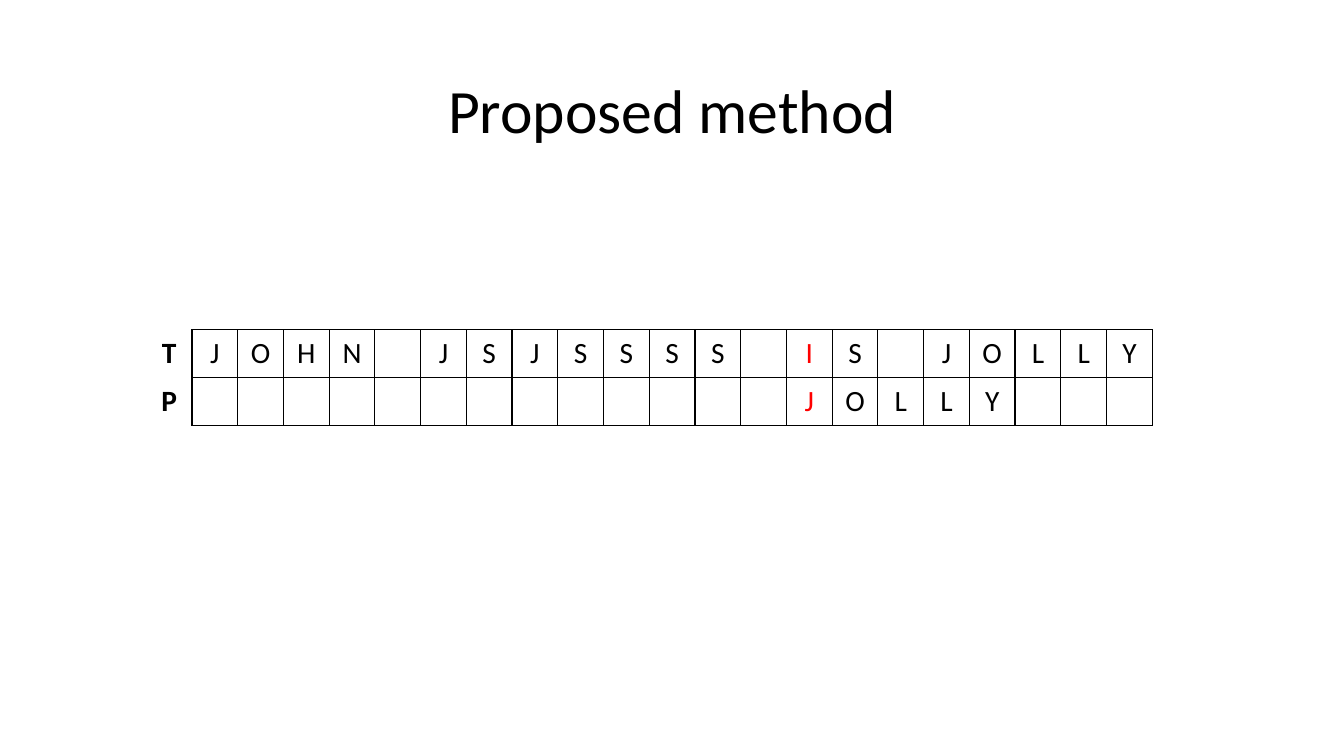
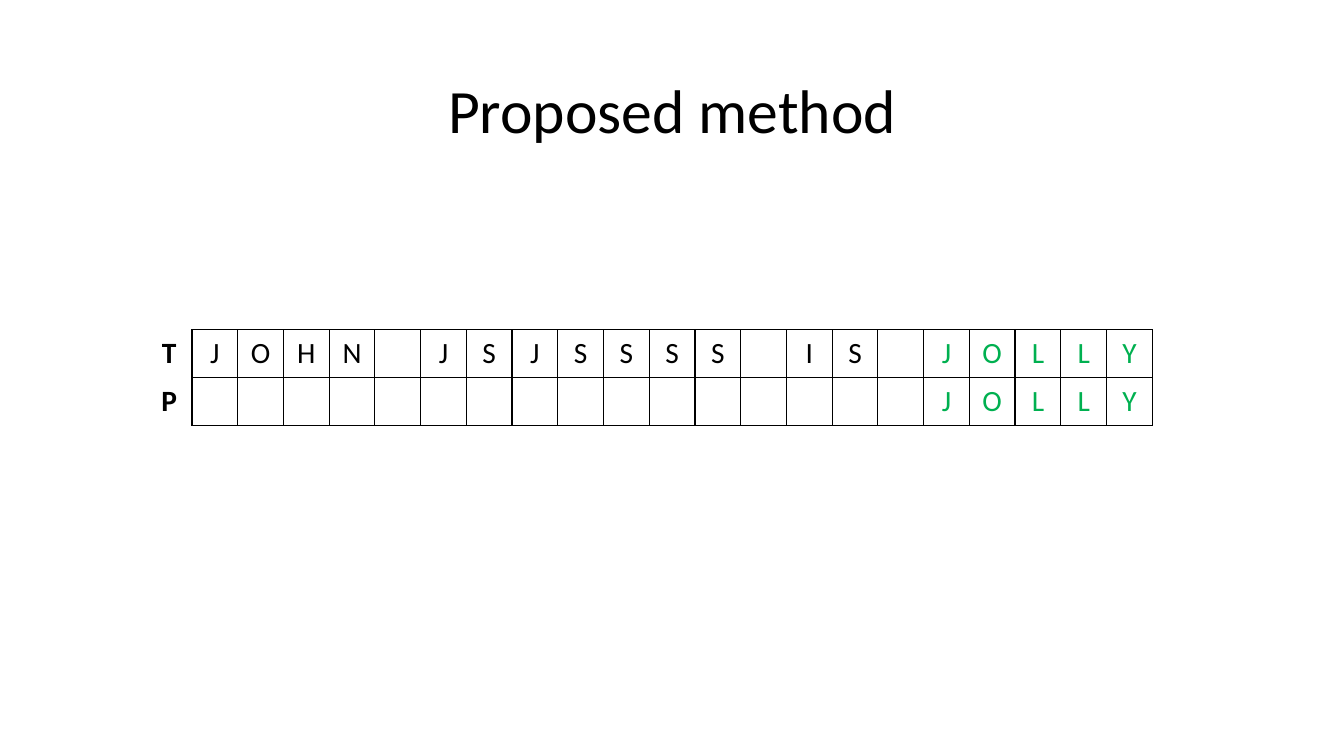
from lxml import etree
from pptx import Presentation
from pptx.dml.color import RGBColor
from pptx.enum.text import MSO_ANCHOR, PP_ALIGN
from pptx.oxml.ns import qn
from pptx.util import Inches, Pt

CENTER = PP_ALIGN.CENTER
MIDDLE = MSO_ANCHOR.MIDDLE

BLACK = RGBColor(0x00, 0x00, 0x00)
MISMATCH_RED = RGBColor(0xFF, 0x00, 0x00)
MATCH_GREEN = RGBColor(0x00, 0xB0, 0x50)

TEXT = "JOHN JSJSSSS IS JOLLY"
PATTERN = "JOLLY"
BLANK_LAYOUT = 6


class Deck:
    """Holds the shared style and the current slide; lengths are percent of the slide."""

    font_name = "Calibri"
    title_size = Pt(44)
    cell_size = Pt(21)
    border_width = Pt(1)
    title_box = (6.9, 5.33, 86.25, 19.33)
    table_left, table_top, table_width = 10.88, 43.6, 74.87
    row_height = 6.35

    def __init__(self):
        self.presentation = Presentation()
        self.presentation.slide_width = Inches(13.33)
        self.presentation.slide_height = Inches(7.5)
        self.slide = None

    def x(self, percent):
        return round(self.presentation.slide_width * percent / 100)

    def y(self, percent):
        return round(self.presentation.slide_height * percent / 100)

    def new_slide(self, title):
        layout = self.presentation.slide_layouts[BLANK_LAYOUT]
        self.slide = self.presentation.slides.add_slide(layout)
        self.title(title)

    def set_text(self, text_frame, text, size, color=BLACK, bold=False):
        text_frame.text = text
        paragraph = text_frame.paragraphs[0]
        paragraph.alignment = CENTER
        for run in paragraph.runs:
            run.font.name = self.font_name
            run.font.size = size
            run.font.bold = bold
            run.font.color.rgb = color
        return paragraph

    def title(self, text):
        left, top, width, height = self.title_box
        shape = self.slide.shapes.add_textbox(
            self.x(left), self.y(top), self.x(width), self.y(height))
        text_frame = shape.text_frame
        text_frame.word_wrap = True
        text_frame.vertical_anchor = MIDDLE
        self.set_text(text_frame, text, self.title_size).line_spacing = 0.9

    def borders(self, cell, visible):
        properties = cell._tc.get_or_add_tcPr()
        for side in "LRTB":
            line = etree.SubElement(properties, qn(f"a:ln{side}"), w=str(self.border_width))
            if side in visible:
                fill = etree.SubElement(line, qn("a:solidFill"))
                etree.SubElement(fill, qn("a:srgbClr"), val=str(BLACK))
            else:
                etree.SubElement(line, qn("a:noFill"))

    def alignment_table(self, rows, marked_columns, mark_color):
        """Draws (label, letters) rows, with the letters of marked columns coloured."""
        column_count = len(rows[0][1]) + 1
        table = self.slide.shapes.add_table(
            len(rows), column_count, self.x(self.table_left), self.y(self.table_top),
            self.x(self.table_width), self.y(self.row_height * len(rows))).table
        table.first_row = table.horz_banding = False
        for column in table.columns:
            column.width = self.x(self.table_width / column_count)

        for row_index, (label, letters) in enumerate(rows):
            for column_index, letter in enumerate([label, *letters]):
                cell = table.cell(row_index, column_index)
                is_label = column_index == 0
                cell.margin_left = cell.margin_right = Inches(0.12)
                cell.margin_top = cell.margin_bottom = Inches(0.06)
                self.borders(cell, "R" if is_label else "LRTB")
                cell.fill.background()
                color = mark_color if column_index - 1 in marked_columns else BLACK
                self.set_text(cell.text_frame, letter.strip(), self.cell_size, color, is_label)


def main():
    deck = Deck()

    # Each step: pattern offset, columns to mark, mark colour
    last_offset = len(TEXT) - len(PATTERN)
    mismatch = TEXT.index("I")
    steps = [
        (mismatch, [mismatch], MISMATCH_RED),
        (last_offset, range(last_offset, len(TEXT)), MATCH_GREEN),
    ]

    # One slide per step
    for offset, marked_columns, mark_color in steps:
        deck.new_slide("Proposed method")
        shifted_pattern = (" " * offset + PATTERN).ljust(len(TEXT))
        deck.alignment_table(
            [("T", TEXT), ("P", shifted_pattern)], marked_columns, mark_color)

    deck.presentation.save("out.pptx")


if __name__ == "__main__":
    main()
